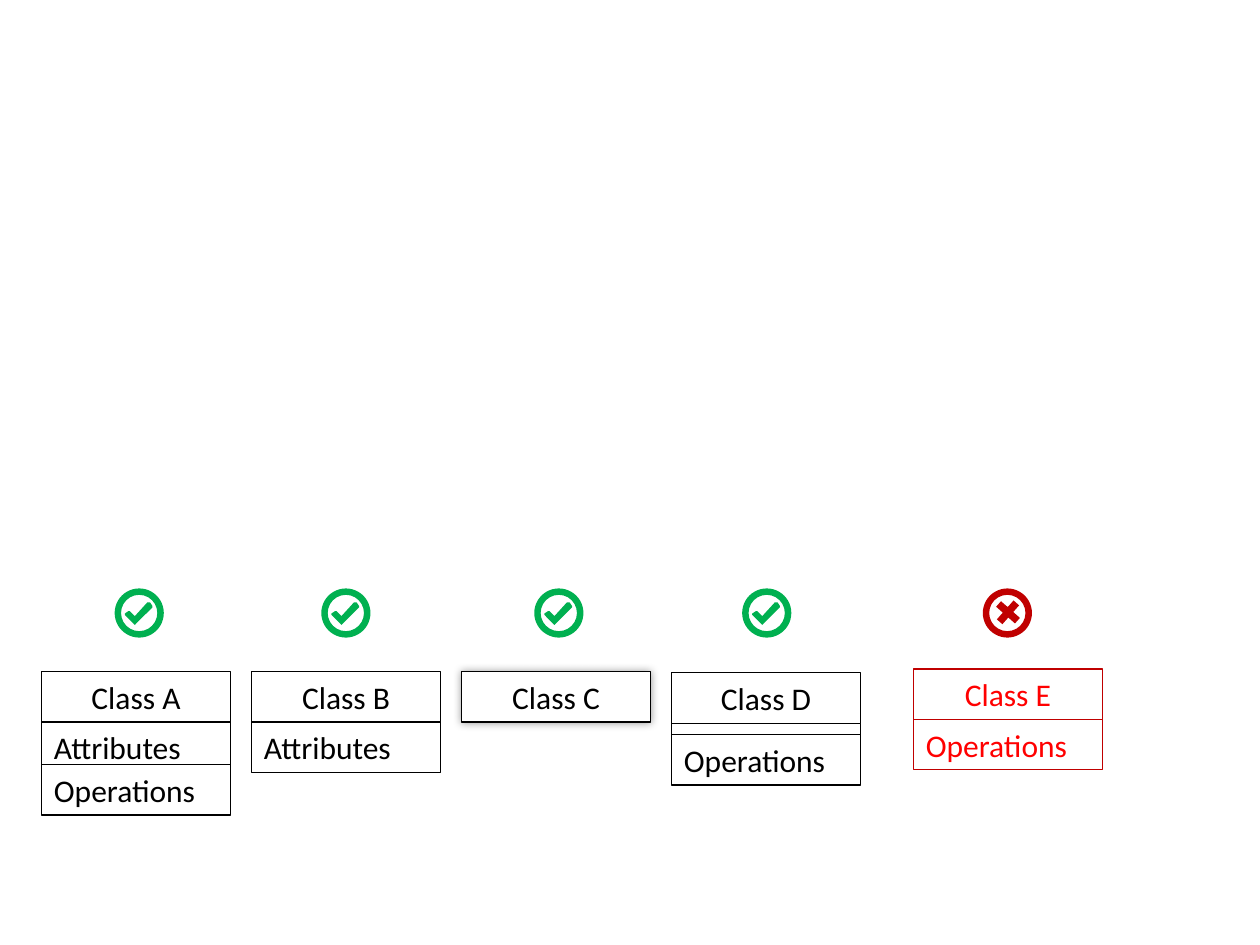
"""Build a slide of valid and invalid UML class boxes."""
from lxml import etree
from pptx import Presentation
from pptx import util as u
from pptx.dml.color import RGBColor
from pptx.enum import shapes, text
from pptx.oxml.ns import qn

COLORS = {"white": "FFFFFF", "black": "000000", "green": "00B050",
          "dark_red": "C00000", "red": "FF0000"}
BOX_W, BOX_H = 1.5, 0.4
ICON_TOP, ICON = 4.67, 0.39
FIRST, PITCH = 0.33, 5 / 3
CLASSES = [
    {"left": FIRST, "top": 5.33, "icon": 0.91, "valid": True,
     "rows": [("Class A", 0), ("Attributes", 0.4), ("Operations", 0.74)]},
    {"left": FIRST + PITCH, "top": 5.33, "icon": 2.55, "valid": True,
     "rows": [("Class B", 0), ("Attributes", 0.4)]},
    {"left": FIRST + 2 * PITCH, "top": 5.33, "icon": 4.24, "valid": True, "shadow": True,
     "rows": [("Class C", 0)]},
    {"left": FIRST + 3 * PITCH, "top": 5.34, "icon": 5.89, "valid": True,
     "rows": [("Class D", 0), ("", 0.4), ("Operations", 0.49)]},
    {"left": 7.25, "top": 5.31, "icon": 7.8, "valid": False,
     "rows": [("Class E", 0), ("Operations", 0.4)]},
]
TICK = [(0.27, 0.11), (0.28, 0.11), (0.3, 0.14), (0.3, 0.15), (0.17, 0.28),
        (0.16, 0.29), (0.15, 0.28), (0.08, 0.21), (0.08, 0.2), (0.11, 0.18),
        (0.12, 0.18), (0.16, 0.22), (0.26, 0.11)]


def rgb(name):
    return RGBColor.from_string(COLORS[name])


def paint(sp, fill, line=None):
    sp.shadow.inherit = False
    sp.fill.solid()
    sp.fill.fore_color.rgb = rgb(fill)
    if line:
        sp.line.color.rgb = rgb(line)
        sp.line.width = u.Pt(0.75)
    else:
        sp.line.fill.background()


def add(parent, kind, left, top, width, height, fill, line=None):
    sp = parent.shapes.add_shape(kind, *map(u.Inches, (left, top, width, height)))
    paint(sp, fill, line)
    return sp


def write(sp, words, color, align):
    tf = sp.text_frame
    tf.word_wrap = True
    tf.auto_size = text.MSO_AUTO_SIZE.SHAPE_TO_FIT_TEXT
    tf.vertical_anchor = text.MSO_ANCHOR.MIDDLE
    p = tf.paragraphs[0]
    p.alignment = align
    r = p.add_run()
    r.text = words
    r.font.size, r.font.name = u.Pt(18), "Calibri"
    r.font.color.rgb = rgb(color)


def add_glow(sp):
    effects = sp._element.spPr.find(qn("a:effectLst"))
    shadow = etree.SubElement(effects, qn("a:outerShdw"), blurRad=str(u.Pt(5)),
                              dist="0", dir="0", algn="ctr", rotWithShape="0")
    color = etree.SubElement(shadow, qn("a:srgbClr"), val=COLORS["black"])
    etree.SubElement(color, qn("a:alpha"), val="40000")


def add_class(s, item):
    line, ink = ("black", "black") if item["valid"] else ("dark_red", "red")
    group = s.shapes.add_group_shape() if len(item["rows"]) > 1 else s
    for i, (words, offset) in enumerate(item["rows"]):
        sp = add(group, shapes.MSO_SHAPE.RECTANGLE, item["left"], item["top"] + offset,
                 BOX_W, BOX_H, "white", line)
        if words:
            write(sp, words, ink, text.PP_ALIGN.LEFT if i else text.PP_ALIGN.CENTER)
        if item.get("shadow"):
            add_glow(sp)


def add_icon(s, left, valid):
    color = "green" if valid else "dark_red"
    group = s.shapes.add_group_shape()
    add(group, shapes.MSO_SHAPE.FLOWCHART_CONNECTOR, left, ICON_TOP, ICON, ICON, "white")
    ring = add(group, shapes.MSO_SHAPE.DONUT, left, ICON_TOP, ICON, ICON, color)
    ring.adjustments[0] = 0.131
    if valid:
        points = [(u.Inches(left + x), u.Inches(ICON_TOP + y)) for x, y in TICK]
        outline = group.shapes.build_freeform(*points[0])
        outline.add_line_segments(points[1:], close=True)
        paint(outline.convert_to_shape(), color)
    else:
        cross = add(group, shapes.MSO_SHAPE.CROSS, left + 0.1, ICON_TOP + 0.09, 0.2, 0.2, color)
        cross.adjustments[0] = 0.354
        cross.rotation = 41.5


prs = Presentation()
prs.slide_width, prs.slide_height = u.Inches(10), u.Inches(7.5)
s = prs.slides.add_slide(prs.slide_layouts[6])
for item in CLASSES:
    add_class(s, item)
    add_icon(s, item["icon"], item["valid"])
prs.save("out.pptx")
